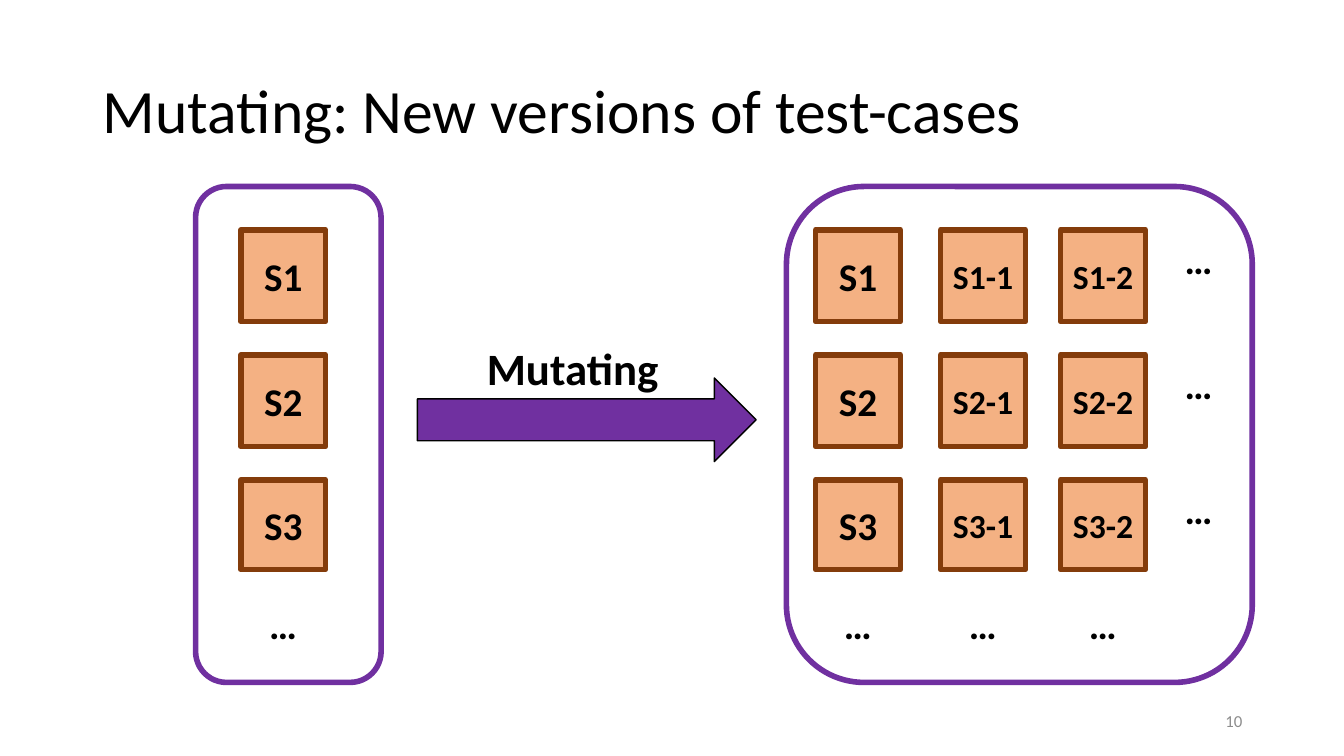
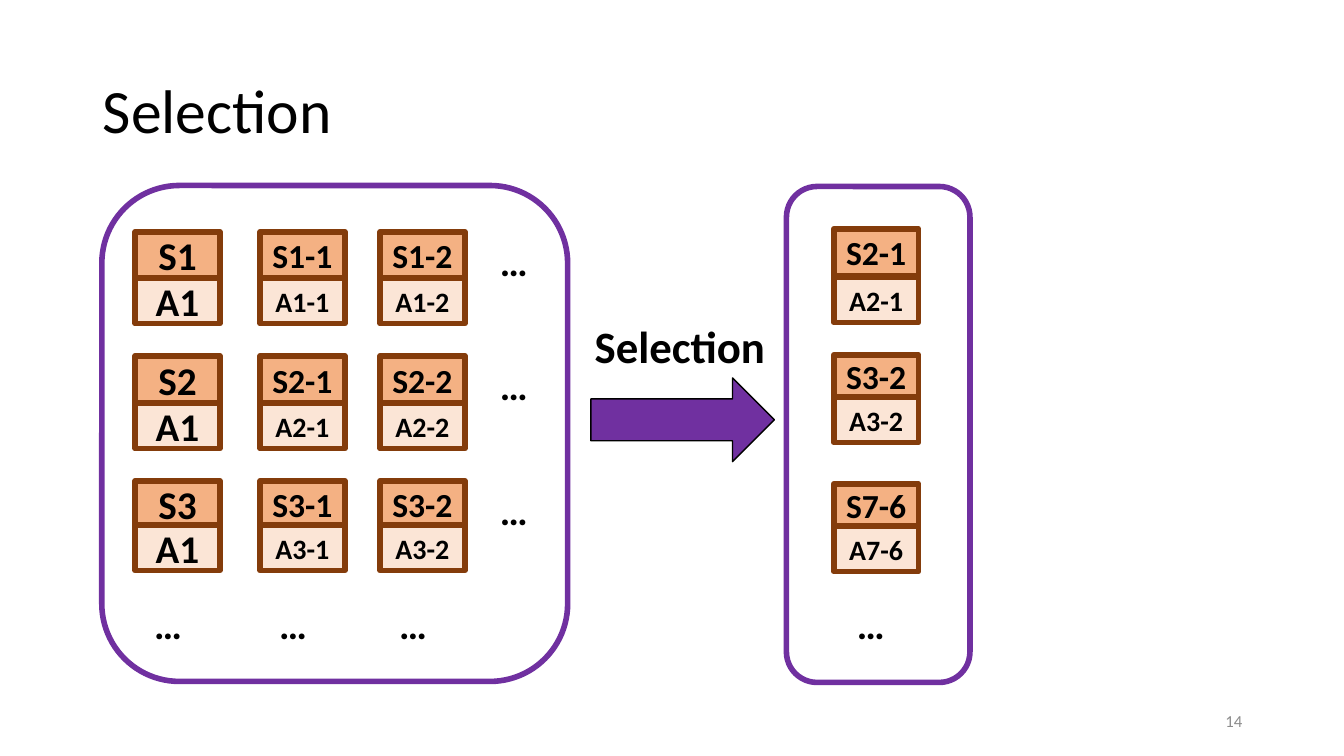
from pptx import Presentation
from pptx.dml.color import RGBColor
from pptx.enum.shapes import MSO_SHAPE
from pptx.enum.text import MSO_ANCHOR, MSO_AUTO_SIZE, PP_ALIGN
from pptx.util import Emu, Pt

SLIDE_WIDTH, SLIDE_HEIGHT = 1333, 750
TITLE_BOX = (92, 40, 1150, 145)
NUMBER_BOX = (942, 695, 300, 40)

BLACK, GRAY = "000000", "8C8C8C"
PURPLE, BROWN = "7030A0", "843C0B"
ORANGE, PEACH = "F4B183", "FBE5D6"

CELL_WIDTH = 84
COLUMN_OFFSETS = (0, 124, 243)
DOTS_TOP, DOTS_WIDTH, DOTS_HEIGHT = 591, 48, 57

# Each entry of "layers" is one row of boxes: fill, tops, bottoms, size of
# long labels, and one list of labels per row.
SLIDES = [
    {
        "title": "Mutating: New versions of test-cases",
        "number": "10",
        "arrow": (414, 375, 336, 83),
        "label": ("Mutating", (473, 333, 192, 64)),
        "panels": [
            {
                "frame": (194, 185, 184, 492),
                "left": 239, "dots_shift": 18, "row_dots_left": None,
                "layers": [
                    (ORANGE, (228, 352, 476), (319, 443, 565), 24,
                     [["S1"], ["S2"], ["S3"]]),
                ],
            },
            {
                "frame": (780, 185, 462, 492),
                "left": 809, "dots_shift": 18, "row_dots_left": 1165,
                "layers": [
                    (ORANGE, (228, 352, 476), (319, 443, 565), 24,
                     [["S1", "S1-1", "S1-2"],
                      ["S2", "S2-1", "S2-2"],
                      ["S3", "S3-1", "S3-2"]]),
                ],
            },
        ],
    },
    {
        "title": "Selection",
        "number": "14",
        "arrow": (586, 375, 182, 83),
        "label": ("Selection", (580, 311, 191, 64)),
        "panels": [
            {
                "frame": (101, 184, 462, 492),
                "left": 134, "dots_shift": 9, "row_dots_left": 486,
                "layers": [
                    (ORANGE, (230, 353, 477), (276, 401, 523), 24,
                     [["S1", "S1-1", "S1-2"],
                      ["S2", "S2-1", "S2-2"],
                      ["S3", "S3-1", "S3-2"]]),
                    (PEACH, (276, 400, 521), (321, 445, 566), 20,
                     [["A1", "A1-1", "A1-2"],
                      ["A1", "A2-1", "A2-2"],
                      ["A1", "A3-1", "A3-2"]]),
                ],
            },
            {
                "frame": (780, 185, 182, 492),
                "left": 827, "dots_shift": 13, "row_dots_left": None,
                "layers": [
                    (ORANGE, (227, 352, 480), (274, 395, 523), 24,
                     [["S2-1"], ["S3-2"], ["S7-6"]]),
                    (PEACH, (275, 394, 522), (320, 439, 567), 20,
                     [["A2-1"], ["A3-2"], ["A7-6"]]),
                ],
            },
        ],
    },
]


def px(length):
    """Convert px to EMU, at 100 px to the inch."""
    return Emu(length * 9144)


def color(value):
    return RGBColor.from_string(value)


def set_attributes(target, values):
    for name, value in values.items():
        setattr(target, name, value)


def write(shape, text, size, bold=True, text_color=BLACK, frame=None, paragraph=None):
    """Put one formatted line in a shape; frame and paragraph are format dicts."""
    text_frame = shape.text_frame
    text_frame.text = text
    set_attributes(text_frame, frame or {})
    line = text_frame.paragraphs[0]
    set_attributes(line, paragraph or {})
    font = line.runs[0].font
    set_attributes(font, {"name": "Calibri", "size": Pt(size), "bold": bold})
    font.color.rgb = color(text_color)


def add_box(slide, kind, box, fill, line, width):
    shape = slide.shapes.add_shape(kind, *map(px, box))
    shape.shadow.inherit = False
    if fill:
        shape.fill.solid()
        shape.fill.fore_color.rgb = color(fill)
    else:
        shape.fill.background()
    shape.line.color.rgb = color(line)
    shape.line.width = Pt(width)
    return shape


def add_label(slide, text, box, size):
    label = slide.shapes.add_textbox(*map(px, box))
    write(label, text, size,
          frame={"word_wrap": False, "auto_size": MSO_AUTO_SIZE.SHAPE_TO_FIT_TEXT})


def add_dots(slide, left, top):
    add_label(slide, "…", (left, top, DOTS_WIDTH, DOTS_HEIGHT), 28)


def add_cell(slide, text, box, fill, long_size):
    cell = add_box(slide, MSO_SHAPE.FLOWCHART_PROCESS, box, fill, BROWN, 4)
    margins = {f"margin_{side}": 0 for side in ("left", "top", "right", "bottom")}
    write(cell, text, long_size if "-" in text else 28,
          frame={"word_wrap": True, "vertical_anchor": MSO_ANCHOR.MIDDLE, **margins},
          paragraph={"alignment": PP_ALIGN.CENTER})


def add_panel(slide, panel):
    """Draw a frame with its grid of cells and the dots below and beside it."""
    add_box(slide, MSO_SHAPE.ROUNDED_RECTANGLE, panel["frame"], None, PURPLE, 4)
    for fill, tops, bottoms, long_size, rows in panel["layers"]:
        for top, bottom, labels in zip(tops, bottoms, rows):
            for offset, text in zip(COLUMN_OFFSETS, labels):
                box = (panel["left"] + offset, top, CELL_WIDTH, bottom - top)
                add_cell(slide, text, box, fill, long_size)

    first_layer = panel["layers"][0]
    first_tops, first_rows = first_layer[1], first_layer[4]
    for offset, _ in zip(COLUMN_OFFSETS, first_rows[0]):
        add_dots(slide, panel["left"] + offset + panel["dots_shift"], DOTS_TOP)
    if panel["row_dots_left"] is not None:
        for top in first_tops:
            add_dots(slide, panel["row_dots_left"], top + 1)


def add_title_and_number(slide, title, number):
    middle = {"word_wrap": True, "vertical_anchor": MSO_ANCHOR.MIDDLE,
              "auto_size": MSO_AUTO_SIZE.NONE}
    placeholder = slide.shapes.title
    set_attributes(placeholder, dict(zip(("left", "top", "width", "height"),
                                         map(px, TITLE_BOX))))
    write(placeholder, title, 44, bold=False, frame=middle,
          paragraph={"alignment": PP_ALIGN.LEFT, "line_spacing": 0.9})
    number_box = slide.shapes.add_textbox(*map(px, NUMBER_BOX))
    write(number_box, number, 12, bold=False, text_color=GRAY, frame=middle,
          paragraph={"alignment": PP_ALIGN.RIGHT})


def main():
    presentation = Presentation()
    presentation.slide_width = px(SLIDE_WIDTH)
    presentation.slide_height = px(SLIDE_HEIGHT)
    title_only = presentation.slide_layouts[5]
    for content in SLIDES:
        slide = presentation.slides.add_slide(title_only)
        add_title_and_number(slide, content["title"], content["number"])
        for panel in content["panels"]:
            add_panel(slide, panel)
        add_box(slide, MSO_SHAPE.RIGHT_ARROW, content["arrow"], PURPLE, BLACK, 1)
        add_label(slide, *content["label"], 32)
    presentation.save("out.pptx")


if __name__ == "__main__":
    main()
